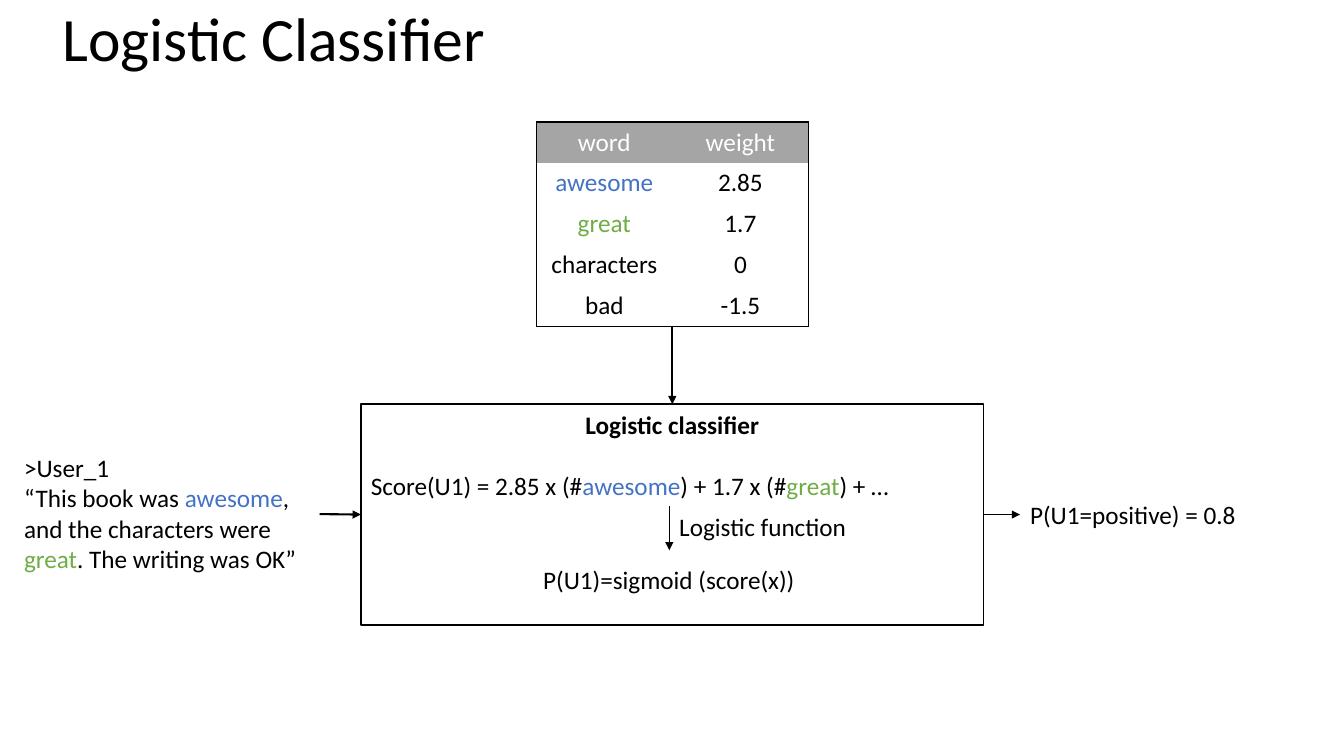
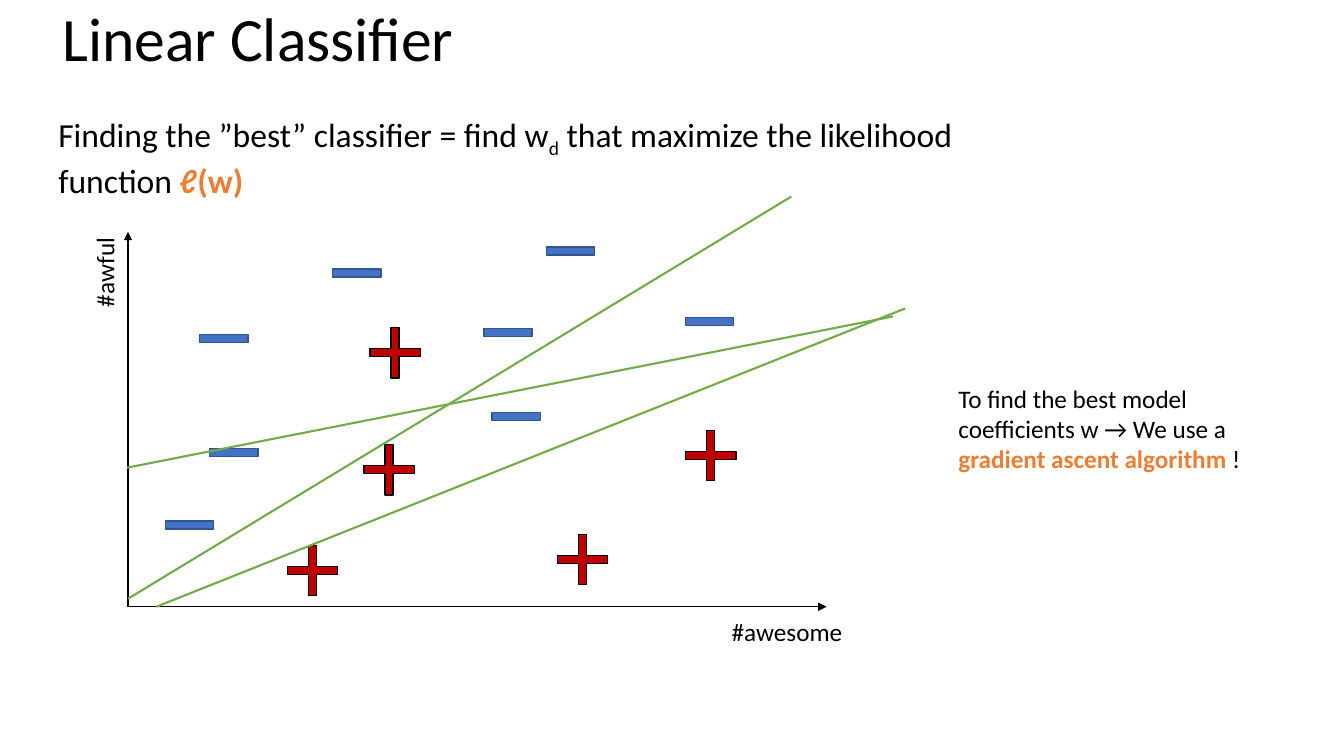
from lxml.etree import SubElement
from pptx import Presentation
from pptx.dml.color import RGBColor
from pptx.enum.shapes import MSO_CONNECTOR, MSO_SHAPE
from pptx.enum.text import MSO_ANCHOR, MSO_AUTO_SIZE, PP_ALIGN
from pptx.oxml.ns import qn
from pptx.util import Inches, Pt

BLACK = RGBColor(0x00, 0x00, 0x00)
WHITE = RGBColor(0xFF, 0xFF, 0xFF)
GRAY = RGBColor(0xA5, 0xA5, 0xA5)
BLUE = RGBColor(0x44, 0x72, 0xC4)
NAVY = RGBColor(0x32, 0x54, 0x91)
GREEN = RGBColor(0x70, 0xAD, 0x47)
RED = RGBColor(0xC0, 0x00, 0x00)
ORANGE = RGBColor(0xED, 0x7D, 0x31)

FONT = "Calibri"
COLS, ROWS = 133.33, 75
CELL = Inches(0.1)
NO_TABLE_STYLE = "{2D5ABB26-0587-4C30-8999-92F81FD0307C}"

AWESOME = ("awesome", {"color": BLUE})
GREAT = ("great", {"color": GREEN})


def grid(*cells):
    """Turn columns and rows of the grid into lengths."""
    return [round(n * CELL) for n in cells]


class Deck:
    def __init__(self):
        self.prs = Presentation()
        self.prs.slide_width, self.prs.slide_height = grid(COLS, ROWS)
        self.s = None

    def slide(self, title):
        self.s = self.prs.slides.add_slide(self.prs.slide_layouts[6])
        sp = self.text(5.2, 0.3, 120, 12.5, [[title]], size=44, grow=False)
        sp.text_frame.paragraphs[0].line_spacing = 0.9

    def style(self, r, size=18, color=BLACK, bold=False, italic=False, baseline=0):
        r.font.name, r.font.size = FONT, Pt(size)
        r.font.bold, r.font.italic = bold, italic
        r.font.color.rgb = color
        if baseline:
            r.font._element.set("baseline", str(baseline))

    def fill_frame(self, tf, paragraphs, size=18):
        """Fill a frame; a paragraph is a list of strings or (string, style) pairs."""
        tf.word_wrap = True
        for i, pieces in enumerate(paragraphs):
            p = tf.add_paragraph() if i else tf.paragraphs[0]
            p.alignment = PP_ALIGN.LEFT
            for piece in pieces:
                text, look = (piece, {}) if isinstance(piece, str) else piece
                r = p.add_run()
                r.text = text
                self.style(r, size, **look)

    def text(self, x, y, w, h, paragraphs, size=18, grow=True, rotation=0):
        sp = self.s.shapes.add_textbox(*grid(x, y, w, h))
        self.fill_frame(sp.text_frame, paragraphs, size)
        if grow:
            sp.text_frame.auto_size = MSO_AUTO_SIZE.SHAPE_TO_FIT_TEXT
        sp.rotation = rotation
        return sp

    def shape(self, kind, x, y, w, h, fill, line):
        sp = self.s.shapes.add_shape(kind, *grid(x, y, w, h))
        sp.shadow.inherit = False
        sp.fill.solid()
        sp.fill.fore_color.rgb = fill
        sp.line.color.rgb, sp.line.width = line, Pt(1)
        return sp

    def line(self, x1, y1, x2, y2, width=1.5, color=BLACK, arrow=True, begin=None, end=None):
        """Draw a line; begin and end are (shape, side) pairs to join."""
        cx = self.s.shapes.add_connector(MSO_CONNECTOR.STRAIGHT, *grid(x1, y1, x2, y2))
        cx.line.color.rgb, cx.line.width = color, Pt(width)
        if arrow:
            SubElement(cx.line._get_or_add_ln(), qn("a:tailEnd"), type="triangle")
        SubElement(cx._element.spPr, qn("a:effectLst"))
        if begin:
            cx.begin_connect(*begin)
        if end:
            cx.end_connect(*end)

    def border(self, cell, sides):
        """Line the named sides of a cell and clear the others."""
        tcPr = cell._tc.get_or_add_tcPr()
        for i, side in enumerate("LRTB"):
            ln = SubElement(tcPr, qn(f"a:ln{side}"), w=str(Pt(1)))
            if side in sides:
                fill = SubElement(ln, qn("a:solidFill"))
                SubElement(fill, qn("a:srgbClr"), val=str(BLACK))
            else:
                SubElement(ln, qn("a:noFill"))
            tcPr.insert(i, ln)

    def table(self, x, y, w, h, rows, word_colors):
        last_row, last_col = len(rows) - 1, len(rows[0]) - 1
        frame = self.s.shapes.add_table(len(rows), len(rows[0]), *grid(x, y, w, h))
        tbl = frame.table
        tbl.first_row = tbl.horz_banding = False
        tbl._tbl.tblPr.find(qn("a:tableStyleId")).text = NO_TABLE_STYLE
        for i, row in enumerate(rows):
            for j, value in enumerate(row):
                cell = tbl.cell(i, j)
                cell.text = value
                cell.fill.solid()
                cell.fill.fore_color.rgb = WHITE if i else GRAY
                p = cell.text_frame.paragraphs[0]
                p.alignment = PP_ALIGN.CENTER
                color = word_colors.get(value, BLACK) if i else WHITE
                self.style(p.runs[0], color=color)
                edges = {"L": j == 0, "R": j == last_col, "T": i == 0, "B": i == last_row}
                self.border(cell, [side for side, outer in edges.items() if outer])


def logistic_slide(deck):
    deck.slide("Logistic Classifier")
    review = deck.text(1.4, 44.4, 30.3, 13.2, [
        [">User_1"],
        ["“This book was ", AWESOME, ", and the characters were ", GREAT,
         ". The writing was OK”"]])
    model = deck.shape(MSO_SHAPE.RECTANGLE, 35.8, 40.1, 61.8, 21.9, WHITE, BLACK)
    tf = model.text_frame
    tf.vertical_anchor = MSO_ANCHOR.TOP
    deck.fill_frame(tf, [
        [("Logistic classifier", {"bold": True})],
        ["Score(U1) = 2.85 x (#", AWESOME, ") + 1.7 x (#", GREAT, ") + …"]])
    tf.paragraphs[0].alignment = PP_ALIGN.CENTER
    tf.paragraphs[0].space_after = Pt(22)

    deck.table(53.2, 12.1, 27, 20.3,
               [("word", "weight"), ("awesome", "2.85"), ("great", "1.7"),
                ("characters", "0"), ("bad", "-1.5")],
               {"awesome": BLUE, "great": GREEN})
    result = deck.text(101.2, 49, 30.1, 4.1, [["P(U1=positive) = 0.8"]])
    deck.line(66.7, 32.3, 66.7, 40.1, end=(model, 0))
    deck.line(31.7, 51, 35.8, 51, begin=(review, 3), end=(model, 1))
    deck.line(97.6, 51, 101.2, 51, width=0.5, begin=(model, 3), end=(result, 1))
    deck.line(66.4, 50.2, 66.4, 54.6, width=0.5)
    deck.text(66.4, 50.2, 20, 4, [["Logistic function"]])
    deck.text(52.9, 55.5, 27, 4, [["P(U1)=sigmoid (score(x))"]])


def linear_slide(deck):
    deck.slide("Linear Classifier")
    origin = (12.7, 60.2)
    for tip in ((12.7, 23), (82, 60.2)):
        deck.line(*origin, *tip, width=1)
    deck.text(5, 24.1, 10.7, 4, [["#awful"]], rotation=270)
    deck.text(71.6, 60.7, 13.8, 4, [["#awesome"]])

    for x, y in ((36.1, 44.1), (28.5, 54.1), (55.3, 53), (36.7, 32.5), (68, 42.7)):
        plus = deck.shape(MSO_SHAPE.CROSS, x, y, 5, 5, RED, BLACK)
        plus.adjustments[0] = 0.42
    for x, y in ((54.2, 24.5), (19.8, 33.2), (48.8, 40.9), (20.8, 44.5),
                 (68, 31.5), (33, 26.7), (48, 32.6), (16.4, 51.7)):
        deck.shape(MSO_SHAPE.RECTANGLE, x, y, 4.8, 0.8, BLUE, NAVY)

    deck.text(4.8, 10.8, 98.2, 9.1, [[
        "Finding the ”best” classifier = find w", ("d", {"baseline": -25000}),
        " that maximize the likelihood function ",
        ("ℓ", {"color": ORANGE, "bold": True, "italic": True}),
        ("(w)", {"color": ORANGE, "bold": True})]], size=24)
    for ends in ((12.7, 59.4, 78.5, 19.5), (12.6, 46.4, 88.6, 31.4), (15.5, 60.2, 89.8, 30.6)):
        deck.line(*ends, color=GREEN, arrow=False)
    deck.text(94.1, 37.5, 36.7, 10.1, [[
        "To find the best model coefficients w → We use a ",
        ("gradient ascent algorithm ", {"color": ORANGE, "bold": True}), "!"]])


def main():
    deck = Deck()
    logistic_slide(deck)
    linear_slide(deck)
    deck.prs.save("out.pptx")


if __name__ == "__main__":
    main()
